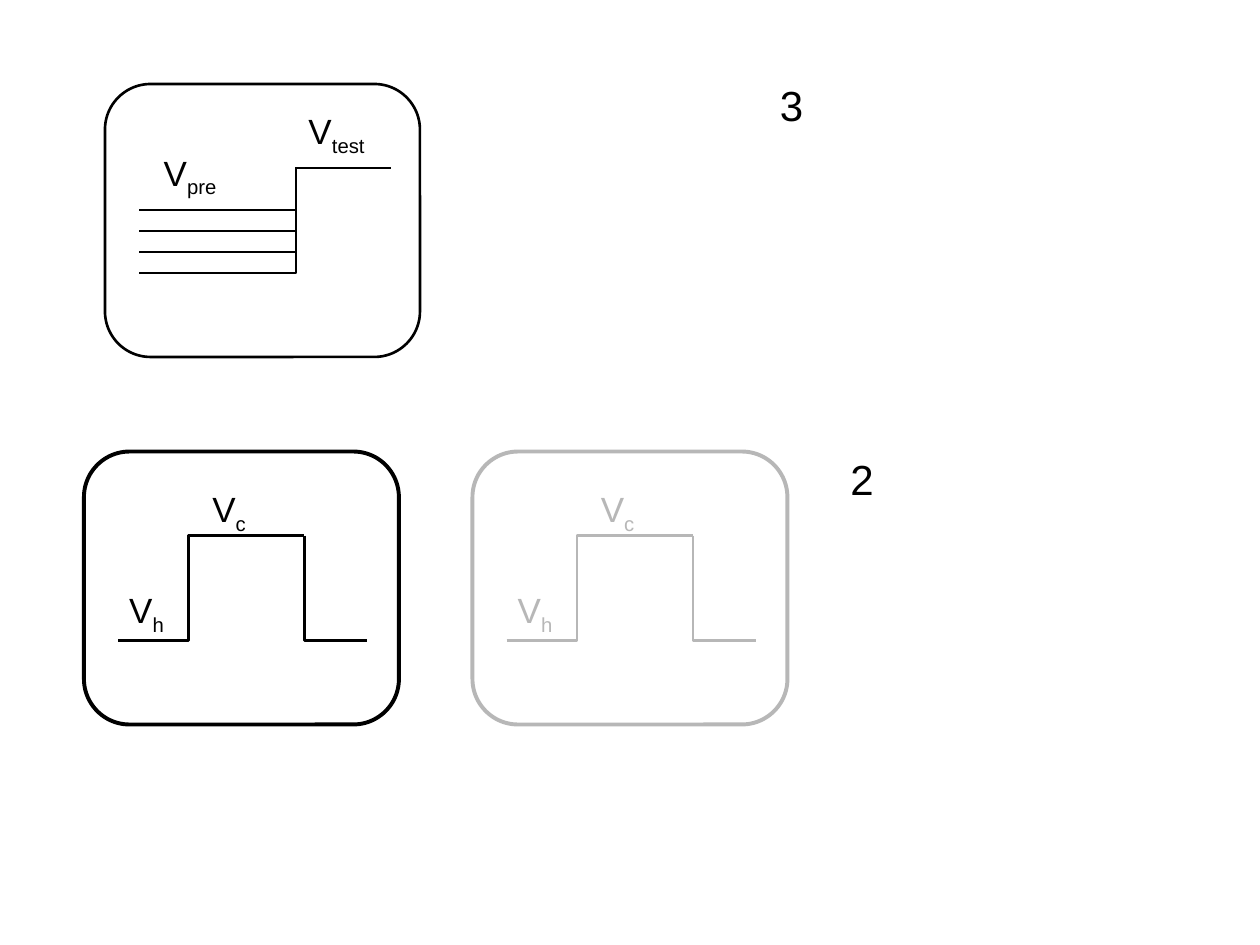
from pptx import Presentation
from pptx.dml.color import RGBColor
from pptx.enum.shapes import MSO_SHAPE
from pptx.enum.text import MSO_AUTO_SIZE
from pptx.util import Inches, Pt

BLACK = RGBColor(0x00, 0x00, 0x00)
GRAY = RGBColor(0xB7, 0xB7, 0xB7)
WHITE = RGBColor(0xFF, 0xFF, 0xFF)
FONT = "Arial"

# Content: positions in inches, cards and levels on a grid of twelfths
CARD_SIZE = (2.5, 26 / 12)
PREPULSE_CARD = (10 / 12, 8 / 12)
PRE_START, STEP_X, TEST_END = 1.1, 2.35, 3.1
TEST_LEVEL = 16 / 12
PRE_LEVELS = [24 / 12, 22 / 12, 20 / 12, 26 / 12]
PREPULSE_LABELS = [("V", "pre", 1.2, 1.15, 0.62), ("V", "test", 2.35, 0.82, 0.64)]
NUMBERS = [("2", 6.65, 3.55), ("3", 6.09, 0.58)]

# Pulse panels: left edge and colour; parts are relative to the left edge
PULSE_TOP = 43 / 12
PULSE_PANELS = [(8 / 12, BLACK), (45 / 12, GRAY)]
HOLD_LEVEL, PULSE_LEVEL = 61 / 12, 51 / 12
PULSE_RISE = [(0.27, HOLD_LEVEL), (0.83, HOLD_LEVEL), (0.83, PULSE_LEVEL), (1.75, PULSE_LEVEL)]
PULSE_FALL = [(1.75, PULSE_LEVEL), (1.75, HOLD_LEVEL), (2.25, HOLD_LEVEL)]
PULSE_LABELS = [("V", "h", 0.26, 4.62, 0.47), ("V", "c", 0.92, 3.82, 0.46)]


def add_card(shapes, left, top, color, weight):
    card = shapes.add_shape(MSO_SHAPE.ROUNDED_RECTANGLE, Inches(left), Inches(top),
                            *map(Inches, CARD_SIZE))
    card.adjustments[0] = 0.167
    card.shadow.inherit = False
    card.fill.solid()
    card.fill.fore_color.rgb = WHITE
    card.line.color.rgb = color
    card.line.width = Pt(weight)


def add_trace(shapes, points, color):
    (start_x, start_y), *rest = [(Inches(x), Inches(y)) for x, y in points]
    builder = shapes.build_freeform(start_x, start_y)
    builder.add_line_segments(rest, close=False)
    trace = builder.convert_to_shape()
    trace.shadow.inherit = False
    trace.fill.background()
    trace.line.color.rgb = color
    trace.line.width = Pt(1.5)


def add_label(shapes, text, subscript, left, top, width, color=BLACK, size=20, height=0.48):
    label = shapes.add_textbox(*map(Inches, (left, top, width, height)))
    frame = label.text_frame
    # The free right margin keeps the subscript on the same line
    frame.word_wrap = True
    frame.margin_right = 0
    frame.auto_size = MSO_AUTO_SIZE.SHAPE_TO_FIT_TEXT
    for part, baseline in [(text, None), (subscript, "-25000")]:
        if not part:
            continue
        run = frame.paragraphs[0].add_run()
        run.text = part
        run.font.name = FONT
        run.font.size = Pt(size)
        run.font.color.rgb = color
        if baseline:
            run.font._element.set("baseline", baseline)


prs = Presentation()
prs.slide_width, prs.slide_height = Inches(10), Inches(7.5)
slide = prs.slides.add_slide(prs.slide_layouts[6])

# Prepulse protocol
add_card(slide.shapes, *PREPULSE_CARD, BLACK, 1.5)
steps = slide.shapes.add_group_shape().shapes
for level in PRE_LEVELS:
    add_trace(steps, [(TEST_END, TEST_LEVEL), (STEP_X, TEST_LEVEL),
                      (STEP_X, level), (PRE_START, level)], BLACK)
for label in PREPULSE_LABELS:
    add_label(slide.shapes, *label)

# Numbers
for number, left, top in NUMBERS:
    add_label(slide.shapes, number, "", left, top, 0.38, size=24, height=0.5)

# Pulse protocols
for panel_left, color in PULSE_PANELS:
    panel = slide.shapes.add_group_shape().shapes
    add_card(panel, panel_left, PULSE_TOP, color, 2.25)
    for trace in (PULSE_RISE, PULSE_FALL):
        add_trace(panel, [(panel_left + x, y) for x, y in trace], color)
    for text, subscript, x, top, width in PULSE_LABELS:
        add_label(panel, text, subscript, panel_left + x, top, width, color)

prs.save("out.pptx")
